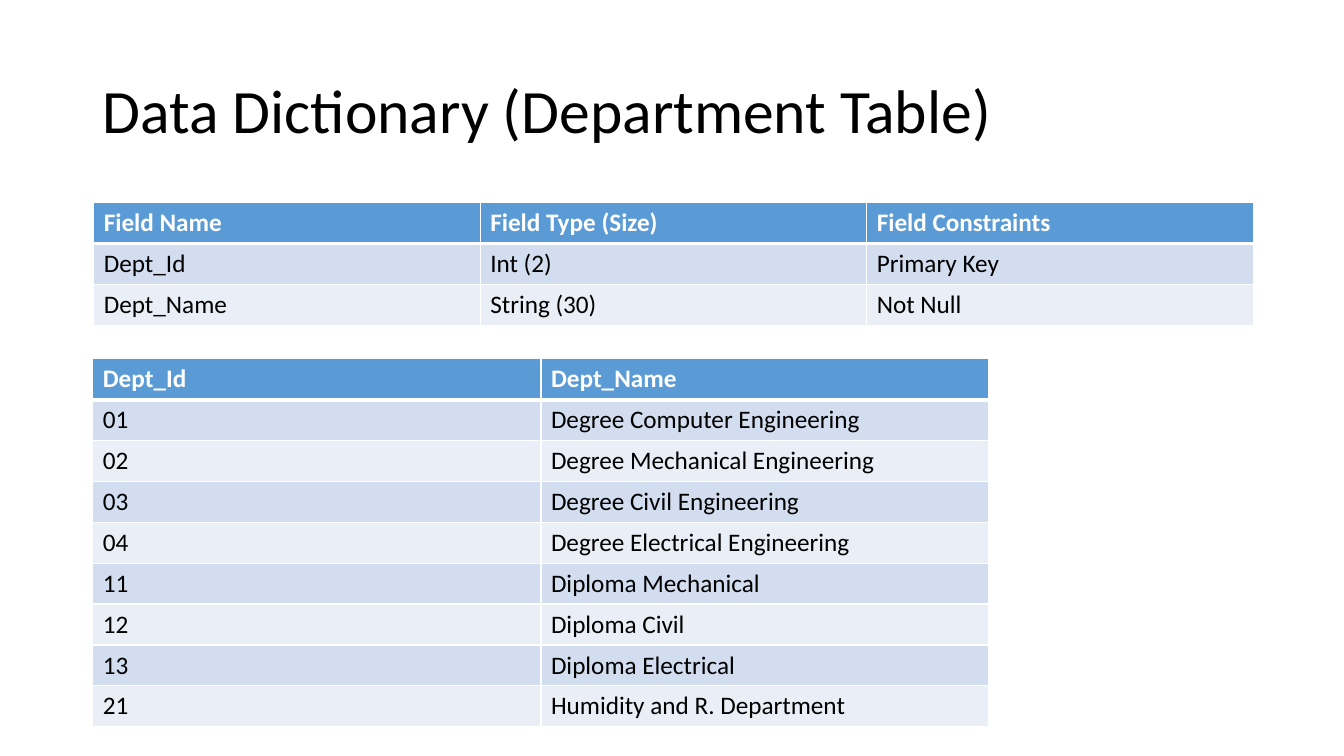
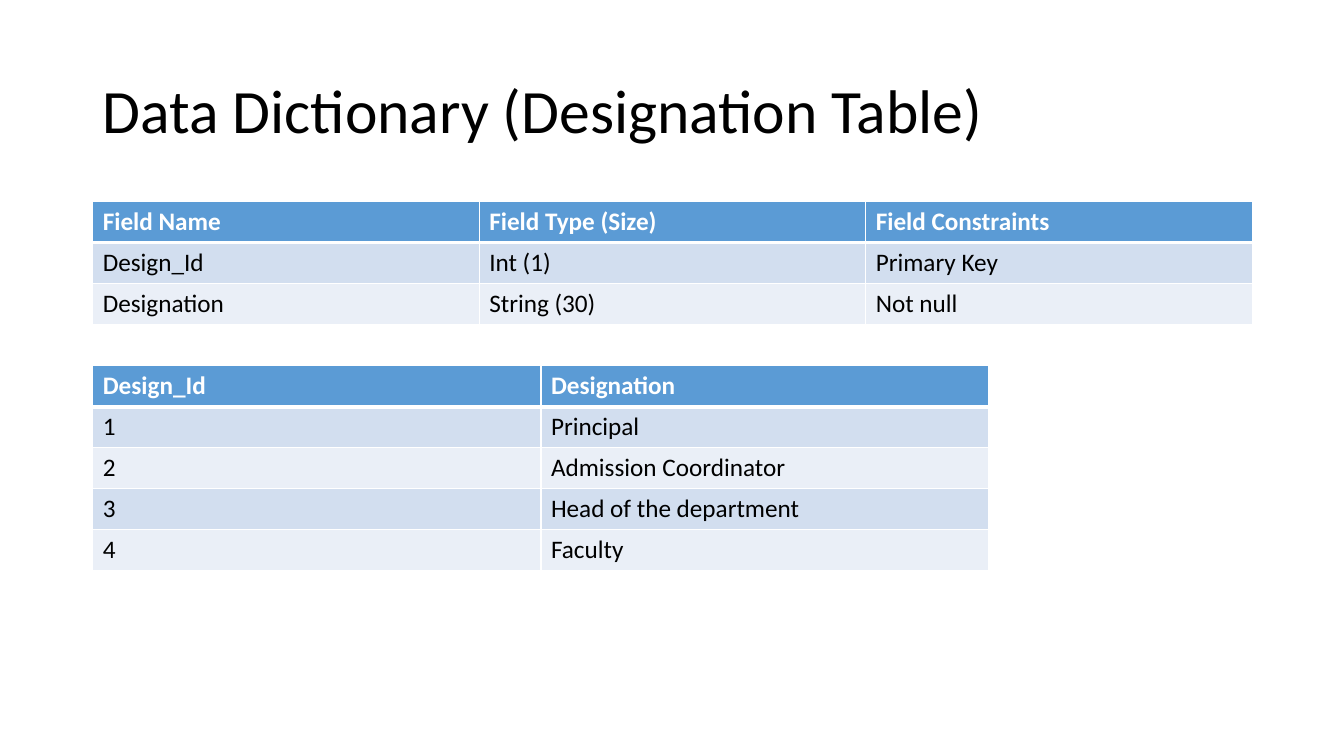
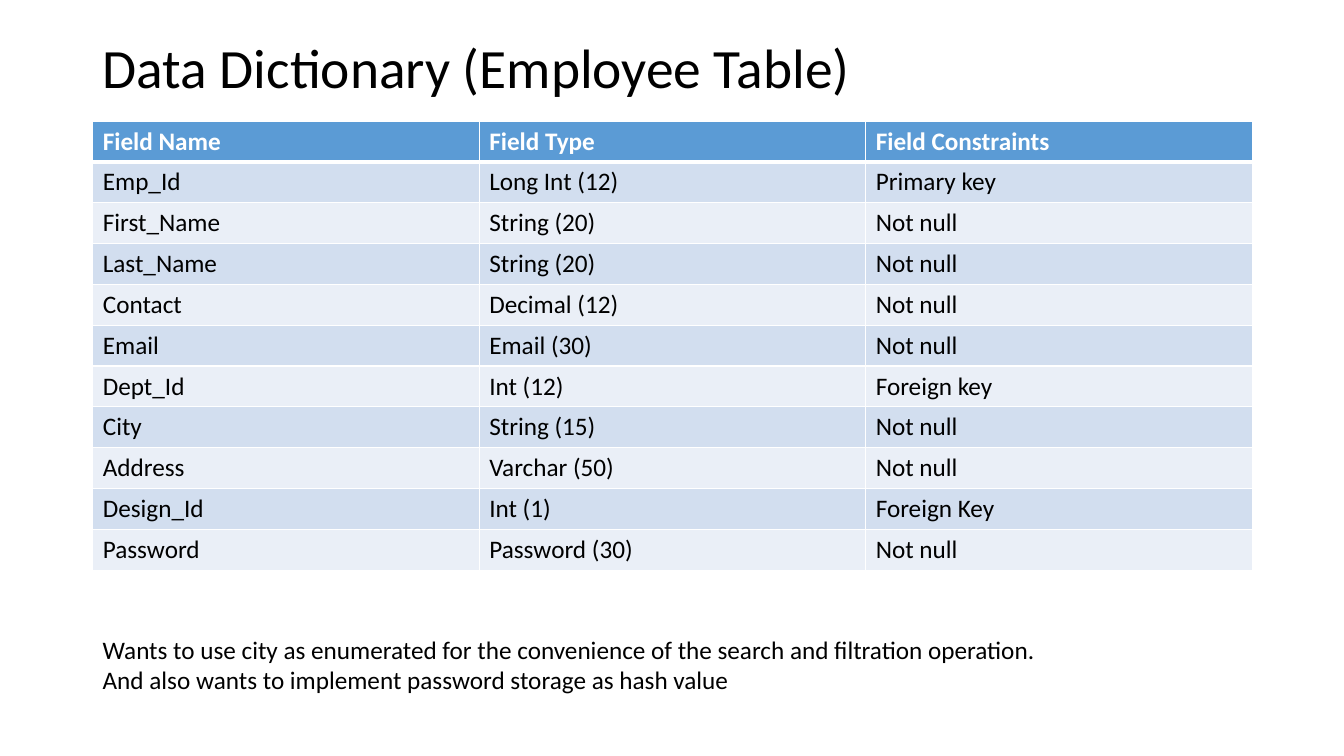
from dataclasses import dataclass
from typing import NamedTuple

from lxml.etree import SubElement
from pptx import Presentation
from pptx.dml.color import RGBColor
from pptx.enum.text import MSO_ANCHOR
from pptx.oxml.ns import qn
from pptx.util import Inches, Pt


@dataclass(frozen=True)
class Theme:
    font: str = "Calibri"
    ink: str = "000000"
    paper: str = "FFFFFF"
    header: str = "5B9BD5"
    bands: tuple = ("D2DEEF", "EAEFF7")
    title_size: float = 44
    compact_title_size: float = 39.6
    body_size: float = 18
    title_spacing: float = 0.9
    rule: float = 1
    header_rule: float = 3


class Box(NamedTuple):
    left: float
    top: float
    width: float
    height: float

    def lengths(self):
        return [Inches(value) for value in self]


THEME = Theme()
LEFT = 0.92
FULL_WIDTH = 11.5
RECORD_WIDTH = 8.89
TITLE_BOX = Box(LEFT, 0.4, FULL_WIDTH, 1.45)
FIELD_HEADER = ("Field Name", "Field Type (Size)", "Field Constraints")


def write(para, text, *, size=THEME.body_size, color=THEME.ink, bold=False, spacing=None):
    span = para.add_run()
    span.text = text
    span.font.name = THEME.font
    span.font.size = Pt(size)
    span.font.bold = bold
    span.font.color.rgb = RGBColor.from_string(color)
    if spacing:
        para.line_spacing = spacing


def add_text(page, box, lines, *, anchor=MSO_ANCHOR.TOP, **style):
    frame = page.shapes.add_textbox(*box.lengths()).text_frame
    frame.word_wrap = True
    frame.vertical_anchor = anchor
    for index, line in enumerate(lines):
        para = frame.add_paragraph() if index else frame.paragraphs[0]
        write(para, line, **style)


def add_title(page, text, box=TITLE_BOX, size=THEME.title_size):
    add_text(page, box, [text], anchor=MSO_ANCHOR.MIDDLE, size=size,
             spacing=THEME.title_spacing)


def set_borders(cell, top, bottom):
    """Rule all four sides of a cell; widths are in points."""
    properties = cell._tc.get_or_add_tcPr()
    widths = {"a:lnL": THEME.rule, "a:lnR": THEME.rule, "a:lnT": top, "a:lnB": bottom}
    for side, width in widths.items():
        line = SubElement(properties, qn(side), w=str(Pt(width)))
        fill = SubElement(line, qn("a:solidFill"))
        SubElement(fill, qn("a:srgbClr"), val=THEME.paper)


def add_grid(page, box, rows):
    """Place a banded table with equal rows and columns in the box."""
    row_count, column_count = len(rows), len(rows[0])
    table = page.shapes.add_table(row_count, column_count, *box.lengths()).table
    for column in table.columns:
        column.width = Inches(box.width / column_count)
    for row_index, values in enumerate(rows):
        table.rows[row_index].height = Inches(box.height / row_count)
        is_header = row_index == 0
        fill = THEME.header if is_header else THEME.bands[(row_index - 1) % 2]
        top = THEME.header_rule if row_index == 1 else THEME.rule
        bottom = THEME.header_rule if is_header else THEME.rule
        for column_index, value in enumerate(values):
            cell = table.cell(row_index, column_index)
            set_borders(cell, top, bottom)
            cell.fill.solid()
            cell.fill.fore_color.rgb = RGBColor.from_string(fill)
            write(cell.text_frame.paragraphs[0], value, bold=is_header,
                  color=THEME.paper if is_header else THEME.ink)


def dictionary_page(page, title, fields_box, fields, records_box, records):
    """Title, field definitions, then the stored records."""
    add_title(page, title)
    add_grid(page, fields_box, [FIELD_HEADER, *fields])
    add_grid(page, records_box, records)


def employee_page(page):
    """Compact title, one long field table and a closing remark."""
    add_title(page, "Data Dictionary (Employee Table)",
              Box(LEFT, 0.4, FULL_WIDTH, 0.6), THEME.compact_title_size)
    add_grid(page, Box(LEFT, 1.2, FULL_WIDTH, 4.46), [
        ("Field Name", "Field Type", "Field Constraints"),
        ("Emp_Id", "Long Int (12)", "Primary key"),
        ("First_Name", "String (20)", "Not null"),
        ("Last_Name", "String (20)", "Not null"),
        ("Contact", "Decimal (12)", "Not null"),
        ("Email", "Email (30)", "Not null"),
        ("Dept_Id", "Int (12)", "Foreign key"),
        ("City", "String (15)", "Not null"),
        ("Address", "Varchar (50)", "Not null"),
        ("Design_Id", "Int (1)", "Foreign Key"),
        ("Password", "Password (30)", "Not null"),
    ])
    add_text(page, Box(LEFT, 6.24, 10.84, 0.71), [
        "Wants to use city as enumerated for the convenience of the search "
        "and filtration operation.",
        "And also wants to implement password storage as hash value",
    ])


deck = Presentation()
deck.slide_width, deck.slide_height = Inches(13.33), Inches(7.5)
blank = deck.slide_layouts[6]

# Departments
dictionary_page(
    deck.slides.add_slide(blank), "Data Dictionary (Department Table)",
    Box(0.93, 2.01, FULL_WIDTH, 1.22),
    [("Dept_Id", "Int (2)", "Primary Key"),
     ("Dept_Name", "String (30)", "Not Null")],
    Box(LEFT, 3.56, RECORD_WIDTH, 3.65),
    [("Dept_Id", "Dept_Name"),
     ("01", "Degree Computer Engineering"),
     ("02", "Degree Mechanical Engineering"),
     ("03", "Degree Civil Engineering"),
     ("04", "Degree Electrical Engineering"),
     ("11", "Diploma Mechanical"),
     ("12", "Diploma Civil"),
     ("13", "Diploma Electrical"),
     ("21", "Humidity and R. Department")],
)

# Designations
dictionary_page(
    deck.slides.add_slide(blank), "Data Dictionary (Designation Table)",
    Box(LEFT, 2, FULL_WIDTH, 1.22),
    [("Design_Id", "Int (1)", "Primary Key"),
     ("Designation", "String (30)", "Not null")],
    Box(LEFT, 3.63, RECORD_WIDTH, 2.03),
    [("Design_Id", "Designation"),
     ("1", "Principal"),
     ("2", "Admission Coordinator"),
     ("3", "Head of the department"),
     ("4", "Faculty")],
)

# Employees
employee_page(deck.slides.add_slide(blank))

deck.save("out.pptx")
